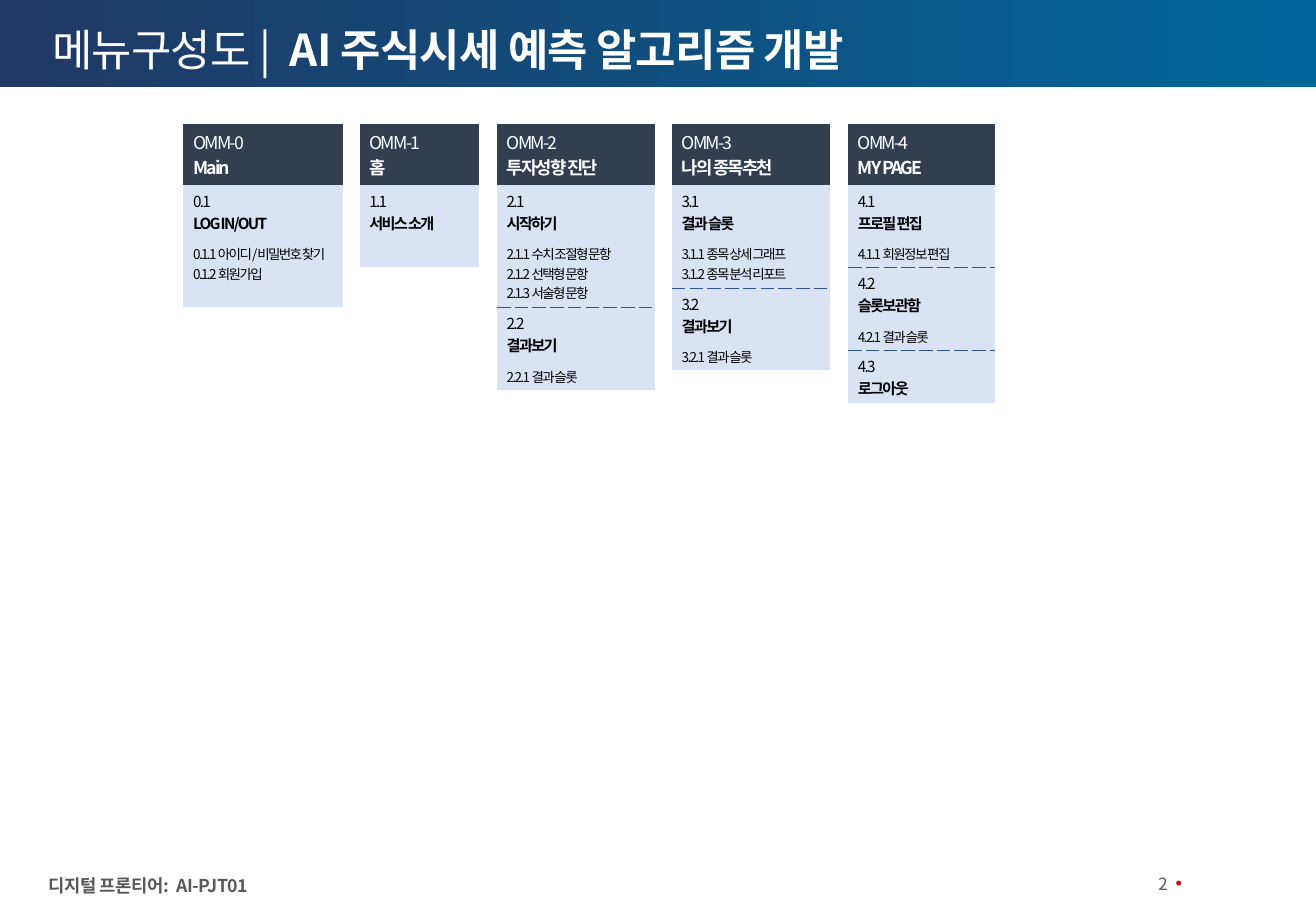
from dataclasses import dataclass

import pptx
import pptx.dml.color
import pptx.enum.shapes
import pptx.enum.text
import pptx.oxml
import pptx.oxml.ns
import pptx.util

Inches = pptx.util.Inches
Pt = pptx.util.Pt
RGB = pptx.dml.color.RGBColor
Align = pptx.enum.text.PP_ALIGN
Anchor = pptx.enum.text.MSO_ANCHOR
Kind = pptx.enum.shapes.MSO_SHAPE

FONT = "Noto Sans CJK KR"
NAVY = RGB(0x20, 0x38, 0x64)
TEAL = RGB(0x00, 0x66, 0x99)
SLATE = RGB(0x33, 0x3F, 0x50)
PALE = RGB(0xDA, 0xE3, 0xF3)
DASH = RGB(0x2F, 0x55, 0x97)
GRAY = RGB(0x59, 0x59, 0x59)
RED = RGB(0xC5, 0x0C, 0x0F)
WHITE = RGB(0xFF, 0xFF, 0xFF)
BLACK = RGB(0x00, 0x00, 0x00)
NO_GRID = "{2D5ABB26-0587-4C30-8999-92F81FD0307C}"
TOP = 1.02
HEAD = 0.5


@dataclass
class Group:
    code: str
    name: str
    items: tuple[str, ...] = ()
    high: float = 0.68


@dataclass
class Menu:
    left: float
    width: float
    code: str
    name: str
    groups: tuple[Group, ...]


MENUS = (
    Menu(1.51, 1.31, "OMM-0", "Main", (
        Group("0.1", "LOG IN/OUT", ("0.1.1 아이디/비밀번호 찾기", "0.1.2 회원가입"), 1.01),
    )),
    Menu(2.96, 0.98, "OMM-1", "홈", (Group("1.1", "서비스 소개"),)),
    Menu(4.09, 1.3, "OMM-2", "투자성향 진단", (
        Group("2.1", "시작하기",
              ("2.1.1 수치 조절형 문항", "2.1.2 선택형 문항", "2.1.3 서술형 문항"), 1.01),
        Group("2.2", "결과보기", ("2.2.1 결과 슬롯",)),
    )),
    Menu(5.53, 1.3, "OMM-3", "나의 종목추천", (
        Group("3.1", "결과 슬롯", ("3.1.1 종목 상세 그래프", "3.1.2 종목 분석 리포트"), 0.85),
        Group("3.2", "결과보기", ("3.2.1 결과 슬롯",)),
    )),
    Menu(6.98, 1.21, "OMM-4", "MY PAGE", (
        Group("4.1", "프로필 편집", ("4.1.1 회원정보 편집",)),
        Group("4.2", "슬롯보관함", ("4.2.1 결과 슬롯",)),
        Group("4.3", "로그아웃", (), 0.44),
    )),
)


def style(font, size: float, color: RGB, bold: bool = False, gap: float = 0) -> None:
    """Set a font, for Korean text too, with letter spacing in points."""
    font.size, font.bold, font.name = Pt(size), bold, FONT
    font.color.rgb = color
    props = font._rPr
    props.set("spc", str(round(gap * 100)))
    east = pptx.oxml.parse_xml(f'<a:ea {pptx.oxml.ns.nsdecls("a")} typeface="{FONT}"/>')
    props.find(pptx.oxml.ns.qn("a:latin")).addnext(east)


def add_box(slide, left: float, top: float, width: float, height: float):
    """Add a text box without margins and return its frame."""
    frame = slide.shapes.add_textbox(
        Inches(left), Inches(top), Inches(width), Inches(height)).text_frame
    frame.margin_left = frame.margin_right = frame.margin_top = frame.margin_bottom = 0
    frame.word_wrap = True
    return frame


def add_shape(slide, kind: Kind, left: float, top: float, width: float, height: float):
    shape = slide.shapes.add_shape(
        kind, Inches(left), Inches(top), Inches(width), Inches(height))
    shape.shadow.inherit = False
    shape.line.fill.background()
    return shape


def add_line(frame, text: str, size: float, color: RGB, bold: bool = False,
             space: float = 0) -> None:
    """Add one line of a cell, with space in points above it."""
    para = frame.paragraphs[0] if not frame.text else frame.add_paragraph()
    para.text = text
    para.space_before, para.space_after = Pt(space), Pt(0)
    style(para.font, size, color, bold, -1)


def dash(cell, side: str) -> None:
    """Draw a dashed border on one side (T or B) of a cell."""
    cell._tc.get_or_add_tcPr().insert(0, pptx.oxml.parse_xml(
        f'<a:ln{side} {pptx.oxml.ns.nsdecls("a")} w="3175"><a:solidFill>'
        f'<a:srgbClr val="{DASH}"/></a:solidFill><a:prstDash val="dash"/></a:ln{side}>'))


def fill_cell(cell, color: RGB):
    """Colour a cell, set its margins and return its frame."""
    cell.fill.solid()
    cell.fill.fore_color.rgb = color
    cell.margin_left = cell.margin_right = Inches(0.08)
    cell.margin_top = cell.margin_bottom = Inches(0.04)
    return cell.text_frame


def add_menu(slide, menu: Menu) -> None:
    highs = [HEAD] + [group.high for group in menu.groups]
    table = slide.shapes.add_table(
        len(highs), 1, Inches(menu.left), Inches(TOP),
        Inches(menu.width), Inches(sum(highs))).table
    table.first_row = table.horz_banding = False
    table._tbl.tblPr.find(pptx.oxml.ns.qn("a:tableStyleId")).text = NO_GRID
    for row, high in zip(table.rows, highs):
        row.height = Inches(high)

    head = table.cell(0, 0)
    frame = fill_cell(head, SLATE)
    head.vertical_anchor = Anchor.MIDDLE
    add_line(frame, menu.code, 10.5, WHITE)
    add_line(frame, menu.name, 10.5, WHITE, True)

    last = len(menu.groups)
    for row, group in enumerate(menu.groups, 1):
        cell = table.cell(row, 0)
        frame = fill_cell(cell, PALE)
        add_line(frame, group.code, 9, BLACK)
        add_line(frame, group.name, 9, BLACK, True)
        for index, item in enumerate(group.items):
            add_line(frame, item, 8, BLACK, space=0 if index else 6)
        if row < last:
            dash(cell, "B")
        if row > 1:
            dash(cell, "T")


def main() -> None:
    deck = pptx.Presentation()
    deck.slide_width, deck.slide_height = Inches(10.83), Inches(7.5)
    slide = deck.slides.add_slide(deck.slide_layouts[6])

    band = add_shape(slide, Kind.RECTANGLE, 0, 0, 10.83, 0.72)
    band.fill.gradient()
    band.fill.gradient_angle = 0
    for stop, color in zip(band.fill.gradient_stops, (NAVY, TEAL)):
        stop.color.rgb = color

    dot = add_shape(slide, Kind.OVAL, 9.68, 7.25, 0.04, 0.04)
    dot.fill.solid()
    dot.fill.fore_color.rgb = RED

    page = add_box(slide, 8.91, 7.18, 0.7, 0.2)
    page.vertical_anchor = Anchor.MIDDLE
    para = page.paragraphs[0]
    para.text, para.alignment = "2", Align.RIGHT
    style(para.font, 10, GRAY)

    para = add_box(slide, 0.4, 7.2, 4.24, 0.18).paragraphs[0]
    para.text = "디지털 프론티어:  AI-PJT01"
    style(para.font, 10.5, GRAY, True, -0.2)

    title = add_box(slide, 0.43, 0.18, 9.99, 0.44)
    title.vertical_anchor = Anchor.MIDDLE
    for text, bold in (("메뉴구성도 |  ", False), ("AI 주식시세 예측 알고리즘 개발", True)):
        run = title.paragraphs[0].add_run()
        run.text = text
        style(run.font, 26, WHITE, bold, -0.5)

    for menu in MENUS:
        add_menu(slide, menu)
    deck.save("out.pptx")


if __name__ == "__main__":
    main()
